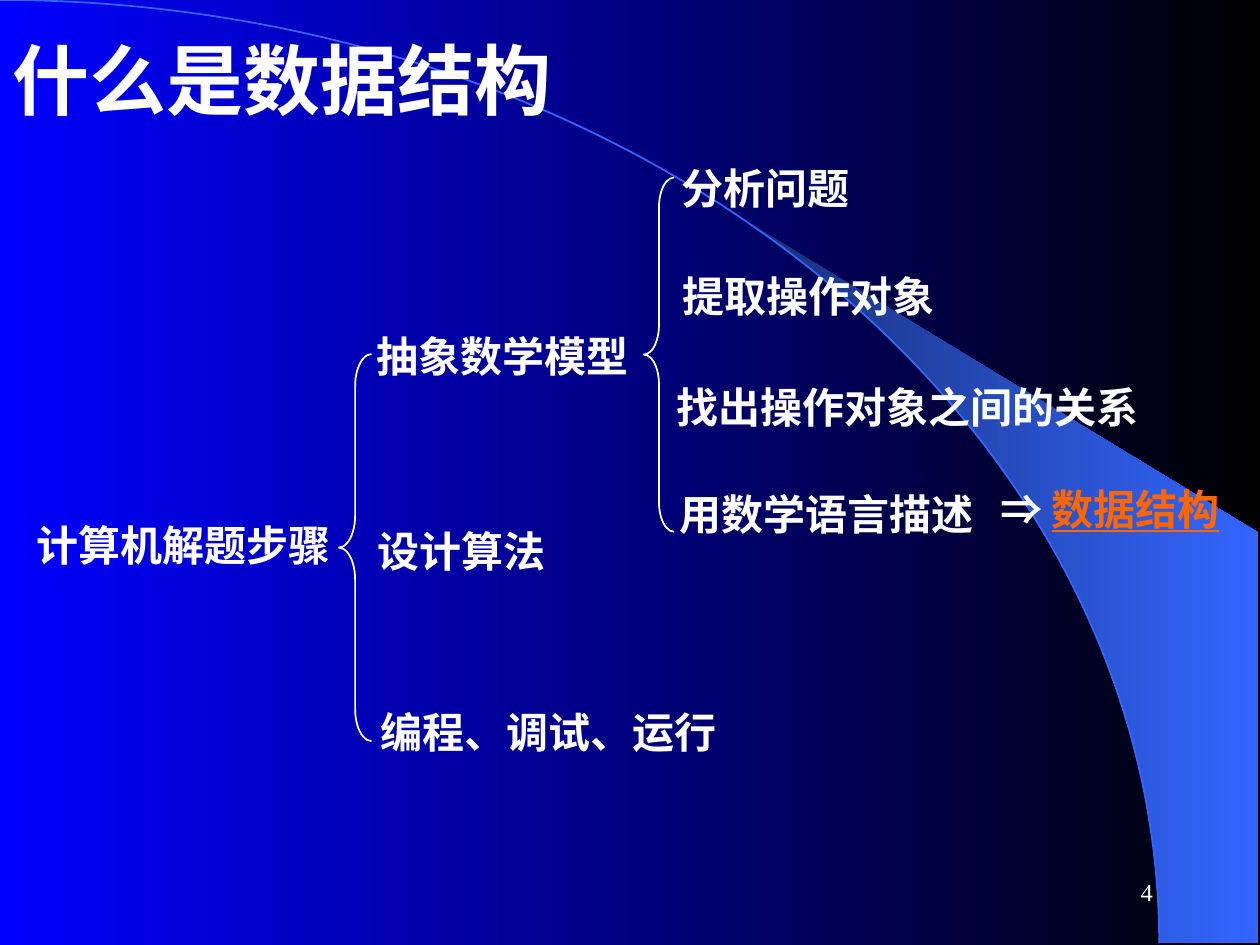
from math import asin, cos, pi, sin

from lxml.etree import SubElement
from pptx import Presentation
from pptx.dml.color import RGBColor
from pptx.enum.shapes import MSO_SHAPE as SHAPE
from pptx.enum.text import MSO_ANCHOR as ANCHOR, PP_ALIGN as ALIGN
from pptx.oxml.ns import qn
from pptx.util import Cm, Pt

WHITE = RGBColor(0xFF, 0xFF, 0xFF)
BLACK = RGBColor(0x00, 0x00, 0x00)
BLUE = RGBColor(0x00, 0x00, 0xFF)
NAVY = RGBColor(0x18, 0x2F, 0x76)
SKY = RGBColor(0x33, 0x66, 0xFF)
ORANGE = RGBColor(0xFF, 0x66, 0x00)

CJK, KARLA, TIMES, ARIAL = "Noto Sans CJK SC", "Karla", "Times New Roman", "Arial"

TITLE = "什么是数据结构"
PAGE = "4"
NODES = [
    ("计算机解题步骤", TIMES, 0.48, 10.34, 7.19, 1),
    ("抽象数学模型", KARLA, 7.34, 6.53, 5.77, 1),
    ("设计算法", CJK, 7.37, 10.46, 4.09, 1),
    ("编程、调试、运行", KARLA, 7.42, 14.12, 7.47, 1),
    ("分析问题", CJK, 13.49, 3.15, 4.09, 1),
    ("提取操作对象", CJK, 13.51, 5.33, 5.77, 1),
    ("找出操作对象之间的关系", CJK, 13.39, 7.47, 10.08, 1.1),
    ("用数学语言描述", CJK, 13.44, 9.73, 6.63, 1),
]
RESULT = [("⇒ ", ARIAL, WHITE, False), ("数据结构", CJK, ORANGE, True)]
BRACES = [(6.83, 7.14, 0.66, 7.8), (12.98, 3.58, 0.61, 7.14)]

ARC_W, ARC_H = 23.37, 19.02
WEDGE_LEFT, WEDGE_RIGHT, WEDGE_CORNER = 14.96, 25.37, 10.74


def arc_points(start, steps):
    angles = [start + (pi / 2 - start) * i / steps for i in range(steps + 1)]
    return [(ARC_W * sin(a), ARC_H * (1 - cos(a))) for a in angles]


def add_outline(s, points, close):
    points = [(Cm(x), Cm(y)) for x, y in points]
    builder = s.shapes.build_freeform(*points[0], scale=1.0)
    builder.add_line_segments(points[1:], close=close)
    sp = builder.convert_to_shape()
    sp.shadow.inherit = False
    return sp


def set_gradient(fill, *colors):
    fill.gradient()
    fill.gradient_angle = 0
    for stop, color in zip(fill.gradient_stops, colors):
        stop.color.rgb = color


def set_line(sp, color):
    sp.fill.background()
    sp.line.color.rgb = color
    sp.line.width = Pt(1)


def add_run(p, text, font, size=24, color=WHITE, bold=True, underline=False):
    r = p.add_run()
    r.text = text
    r.font.name, r.font.size = font, Pt(size)
    r.font.bold, r.font.underline = bold, underline
    r.font.color.rgb = color
    SubElement(r.font._element, qn("a:ea"), typeface=CJK)


def add_text(s, x, y, w, h=1.27, anchor=ANCHOR.TOP, wrap=True):
    tf = s.shapes.add_textbox(Cm(x), Cm(y), Cm(w), Cm(h)).text_frame
    tf.word_wrap = wrap
    tf.vertical_anchor = anchor
    return tf.paragraphs[0]


def main():
    prs = Presentation()
    prs.slide_width, prs.slide_height = Cm(25.4), Cm(19.05)
    s = prs.slides.add_slide(prs.slide_layouts[6])
    set_gradient(s.background.fill, BLUE, BLACK)

    edge = arc_points(asin(WEDGE_LEFT / ARC_W), 24)
    wedge = add_outline(s, edge + [(WEDGE_RIGHT, ARC_H), (WEDGE_RIGHT, WEDGE_CORNER)], True)
    set_gradient(wedge.fill, NAVY, SKY)
    wedge.line.fill.background()
    set_line(add_outline(s, arc_points(0, 90), False), SKY)

    p = add_text(s, 18.21, 17.35, 5.28, anchor=ANCHOR.MIDDLE)
    p.alignment = ALIGN.RIGHT
    add_run(p, PAGE, TIMES, size=14, bold=False)
    add_run(add_text(s, 0, 0, 21.59, 3.18, ANCHOR.MIDDLE), TITLE, ARIAL, size=44)

    for text, font, x, y, w, spacing in NODES:
        p = add_text(s, x, y, w)
        p.line_spacing = float(spacing)
        add_run(p, text, font)

    p = add_text(s, 19.91, 9.73, 4.95, 1.17, wrap=False)
    p.line_spacing = 0.9
    for text, font, color, underline in RESULT:
        add_run(p, text, font, color=color, underline=underline)

    for box in BRACES:
        brace = s.shapes.add_shape(SHAPE.LEFT_BRACE, *map(Cm, box))
        brace.adjustments[0] = 0.98
        brace.shadow.inherit = False
        set_line(brace, WHITE)

    prs.save("out.pptx")


if __name__ == "__main__":
    main()
